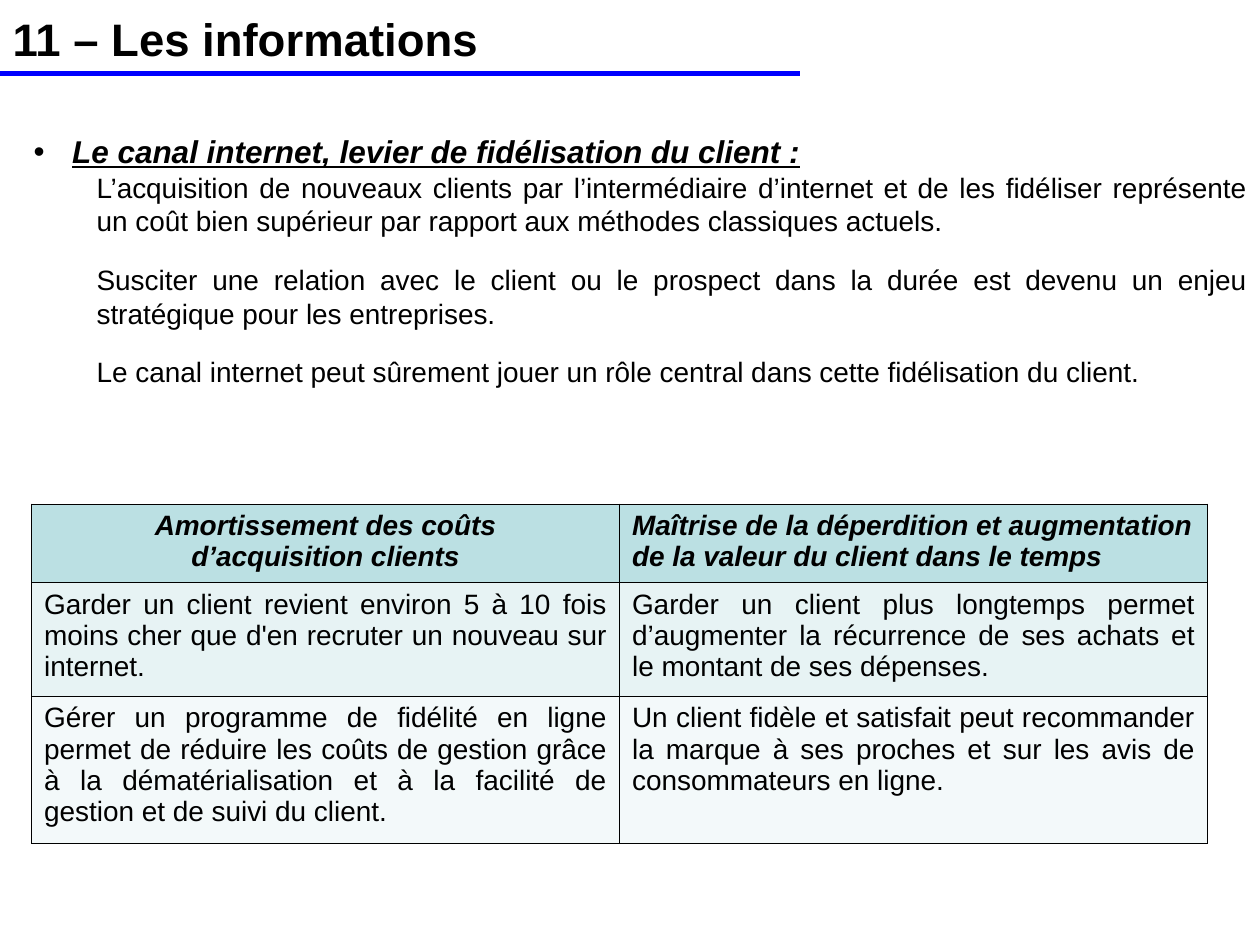
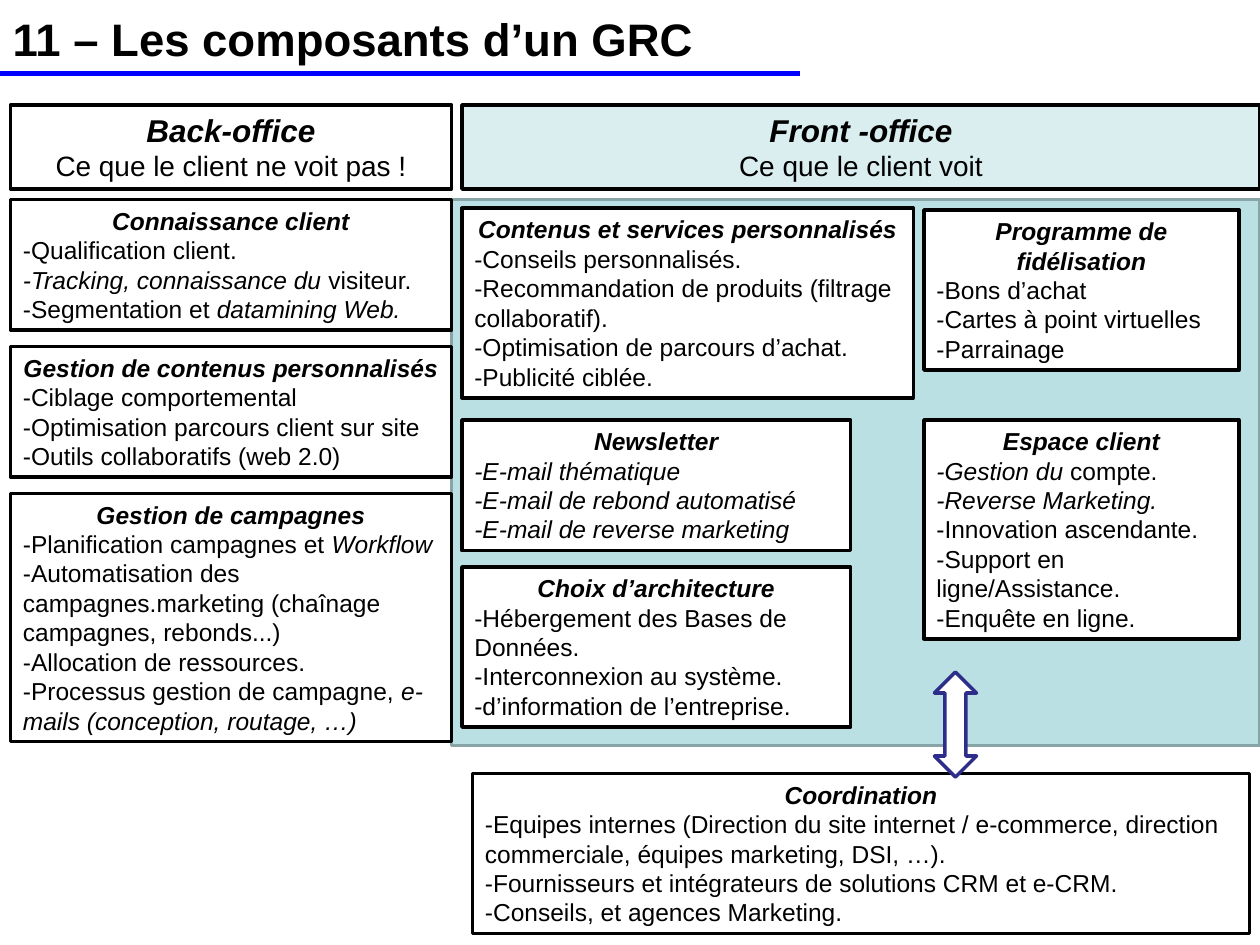
from dataclasses import dataclass
from pptx import Presentation
from pptx.dml.color import RGBColor
from pptx.enum.shapes import MSO_CONNECTOR, MSO_SHAPE
from pptx.enum.text import MSO_ANCHOR, MSO_AUTO_SIZE, PP_ALIGN
from pptx.oxml.ns import qn
from pptx.util import Pt
from lxml.etree import SubElement


@dataclass(frozen=True)
class Theme:
    font: str = "Arial"
    ink: RGBColor = RGBColor(0, 0, 0)
    white: RGBColor = RGBColor(255, 255, 255)
    rule: RGBColor = RGBColor(0, 0, 255)
    teal: RGBColor = RGBColor(0xBB, 0xE0, 0xE3)
    edge: RGBColor = RGBColor(0x89, 0xA4, 0xA7)
    pale: RGBColor = RGBColor(0xDA, 0xED, 0xEF)
    band: RGBColor = RGBColor(0xE7, 0xF3, 0xF4)
    mist: RGBColor = RGBColor(0xF3, 0xF9, 0xFA)
    navy: RGBColor = RGBColor(0x2D, 0x2D, 0x8A)
    title: int = 26
    head: int = 18
    text: int = 16
    small: int = 14
    lead: float = 1.2


theme = Theme()
LEFT, MID, FULL = PP_ALIGN.LEFT, PP_ALIGN.CENTER, PP_ALIGN.JUSTIFY


def write(frame, text, size=theme.text, bold=False, slant=False, under=False,
          align=LEFT, lead=theme.lead, after=0, level=0):
    """Add one paragraph; each underscore switches italics on or off."""
    par = frame.add_paragraph() if frame.text else frame.paragraphs[0]
    par.alignment, par.level = align, level
    par.line_spacing = Pt(size * lead)
    par.space_before, par.space_after = Pt(0), Pt(after)
    for part in text.split("_"):
        if part:
            run = par.add_run()
            run.text = part
            font = run.font
            font.name, font.size, font.color.rgb = theme.font, Pt(size), theme.ink
            font.bold, font.italic, font.underline = bold, slant, under
        slant = not slant
    return par


def draw(slide, kind, place, fill, edge):
    """Add a preset shape with a plain fill and outline."""
    shape = slide.shapes.add_shape(kind, *map(Pt, place))
    shape.shadow.inherit = False
    shape.fill.solid()
    shape.fill.fore_color.rgb = fill
    shape.line.color.rgb, shape.line.width = edge, Pt(2)
    shape.text_frame.word_wrap = True
    shape.text_frame.vertical_anchor = MSO_ANCHOR.TOP
    return shape


deck = Presentation()
deck.slide_width, deck.slide_height = Pt(720), Pt(540)

# Shared title and blue rule
pages = []
for text, layout in (("11 – Les informations", 1),
                     ("11 – Les composants d’un GRC", 5)):
    slide = deck.slides.add_slide(deck.slide_layouts[layout])
    title = slide.shapes.title
    title.left, title.top, title.width, title.height = map(Pt, (0, 0, 720, 43.2))
    title.text_frame.auto_size = MSO_AUTO_SIZE.NONE
    title.text_frame.vertical_anchor = MSO_ANCHOR.MIDDLE
    write(title.text_frame, text, size=theme.title, bold=True)
    rule = slide.shapes.add_connector(
        MSO_CONNECTOR.STRAIGHT, Pt(0), Pt(42), Pt(457), Pt(42))
    rule.line.color.rgb, rule.line.width = theme.rule, Pt(3)
    SubElement(rule._element.spPr, qn("a:effectLst"))
    pages.append(slide)
info, parts = pages

# Slide 1: list
body = info.placeholders[1]
body.left, body.top, body.width, body.height = map(Pt, (12, 72, 708, 154))
frame = body.text_frame
frame.auto_size = MSO_AUTO_SIZE.NONE
par = write(frame, "Le canal internet, levier de fidélisation du client :",
            size=theme.head, bold=True, slant=True, under=True, align=FULL)
props = par._p.get_or_add_pPr()
props.set("marL", str(Pt(22)))
props.set("indent", str(-Pt(22)))
for text in (
    "L’acquisition de nouveaux clients par l’intermédiaire d’internet et de les "
    "fidéliser représente un coût bien supérieur par rapport aux méthodes "
    "classiques actuels.",
    "Susciter une relation avec le client ou le prospect dans la durée est devenu "
    "un enjeu stratégique pour les entreprises.",
    "Le canal internet peut sûrement jouer un rôle central dans cette "
    "fidélisation du client.",
):
    par = write(frame, text, align=FULL, after=14.4, level=1)
    props = par._p.get_or_add_pPr()
    props.set("marL", str(Pt(36)))
    props.set("indent", "0")
    SubElement(props, qn("a:buNone"))

# Slide 1: table, one row as height, fill and cell texts
rows = (
    (45, theme.teal, ("Amortissement des coûts\nd’acquisition clients",
                      "Maîtrise de la déperdition et augmentation de la valeur "
                      "du client dans le temps")),
    (65, theme.band, ("Garder un client revient environ 5 à 10 fois moins cher "
                      "que d'en recruter un nouveau sur internet.",
                      "Garder un client plus longtemps permet d’augmenter la "
                      "récurrence de ses achats et le montant de ses dépenses.")),
    (84, theme.mist, ("Gérer un programme de fidélité en ligne permet de réduire "
                      "les coûts de gestion grâce à la dématérialisation et à la "
                      "facilité de gestion et de suivi du client.",
                      "Un client fidèle et satisfait peut recommander la marque à "
                      "ses proches et sur les avis de consommateurs en ligne.")),
)
table = info.shapes.add_table(3, 2, Pt(18), Pt(288), Pt(672), Pt(194)).table
table.first_row = table.horz_banding = False
for r, (high, fill, texts) in enumerate(rows):
    table.rows[r].height = Pt(high)
    for c, text in enumerate(texts):
        cell = table.cell(r, c)
        top = r == 0
        align = FULL if not top else (MID, LEFT)[c]
        for line in text.split("\n"):
            write(cell.text_frame, line, bold=top, slant=top, align=align, lead=1.11)
        props = cell._tc.get_or_add_tcPr()
        for side in ("lnL", "lnR", "lnT", "lnB"):
            edge = SubElement(props, qn("a:" + side), w=str(Pt(0.45)))
            paint = SubElement(edge, qn("a:solidFill"))
            SubElement(paint, qn("a:srgbClr"), val=str(theme.ink))
        cell.fill.solid()
        cell.fill.fore_color.rgb = fill

# Slide 2: panel and column heads
draw(parts, MSO_SHAPE.RECTANGLE, (258, 114, 462, 312), theme.teal, theme.edge)
for left, wide, fill, name, note in (
    (6, 252, theme.white, "Back-office", "Ce que le client ne voit pas !"),
    (264, 456, theme.pale, "Front -office", "Ce que le client voit"),
):
    box = draw(parts, MSO_SHAPE.RECTANGLE, (left, 60, wide, 48), fill, theme.ink)
    write(box.text_frame, name, size=theme.head, bold=True, slant=True, align=MID)
    write(box.text_frame, note, align=MID)

# Slide 2: boxes as left, top, width, drawn lines, name, items
boxes = (
    (6, 114, 252, 4, "Connaissance client", (
        "-Qualification client.",
        "_-Tracking, connaissance du _visiteur.",
        "-Segmentation et _datamining Web.")),
    (6, 198, 252, 4, "Gestion de contenus personnalisés", (
        "-Ciblage comportemental",
        "-Optimisation parcours client sur site",
        "-Outils collaboratifs (web 2.0)")),
    (6, 282, 252, 8, "Gestion de campagnes", (
        "-Planification campagnes et _Workflow",
        "-Automatisation des campagnes.marketing (chaînage campagnes, rebonds...)",
        "-Allocation de ressources.",
        "-Processus gestion de campagne, _e-mails (conception, routage, …)")),
    (264, 119, 258, 6, "Contenus et services personnalisés", (
        "-Conseils personnalisés.",
        "-Recommandation de produits (filtrage",
        "collaboratif).",
        "-Optimisation de parcours d’achat.",
        "-Publicité ciblée.")),
    (528, 120, 180, 5, "Programme de fidélisation", (
        "-Bons d’achat",
        "-Cartes à point virtuelles",
        "-Parrainage")),
    (528, 240, 180, 7, "Espace client", (
        "_-Gestion du _compte.",
        "_-Reverse Marketing.",
        "-Innovation ascendante.",
        "-Support en ligne/Assistance.",
        "-Enquête en ligne.")),
    (264, 240, 222, 4, "Newsletter", (
        "_-E-mail thématique",
        "_-E-mail de rebond automatisé",
        "_-E-mail de reverse marketing")),
    (264, 324, 222, 5, "Choix d’architecture", (
        "-Hébergement des Bases de",
        "Données.",
        "-Interconnexion au système.",
        "-d’information de l’entreprise.")),
    (270, 442, 444, 5, "Coordination", (
        "-Equipes internes (Direction du site internet / e-commerce, direction "
        "commerciale, équipes marketing, DSI, …).",
        "-Fournisseurs et intégrateurs de solutions CRM et e-CRM.",
        "-Conseils, et agences Marketing.")),
)
for left, top, wide, lines, name, items in boxes:
    high = lines * theme.small * theme.lead + 7.5
    box = draw(parts, MSO_SHAPE.RECTANGLE, (left, top, wide, high),
               theme.white, theme.ink)
    write(box.text_frame, name, size=theme.small, bold=True, slant=True, align=MID)
    for item in items:
        write(box.text_frame, item, size=theme.small)

# Slide 2: link to the coordination box
draw(parts, MSO_SHAPE.UP_DOWN_ARROW, (534, 384, 24, 60), theme.white, theme.navy)

deck.save("out.pptx")
